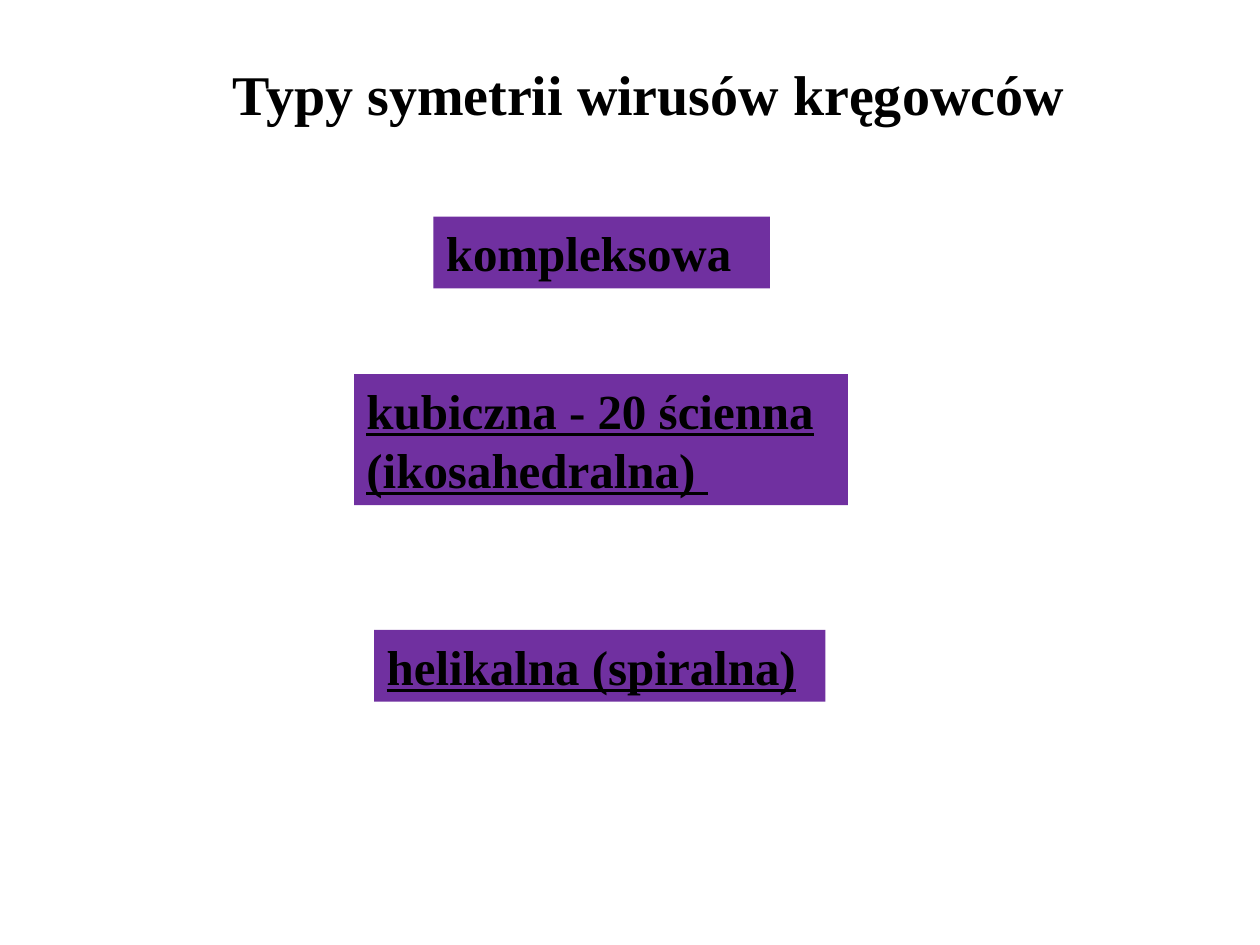
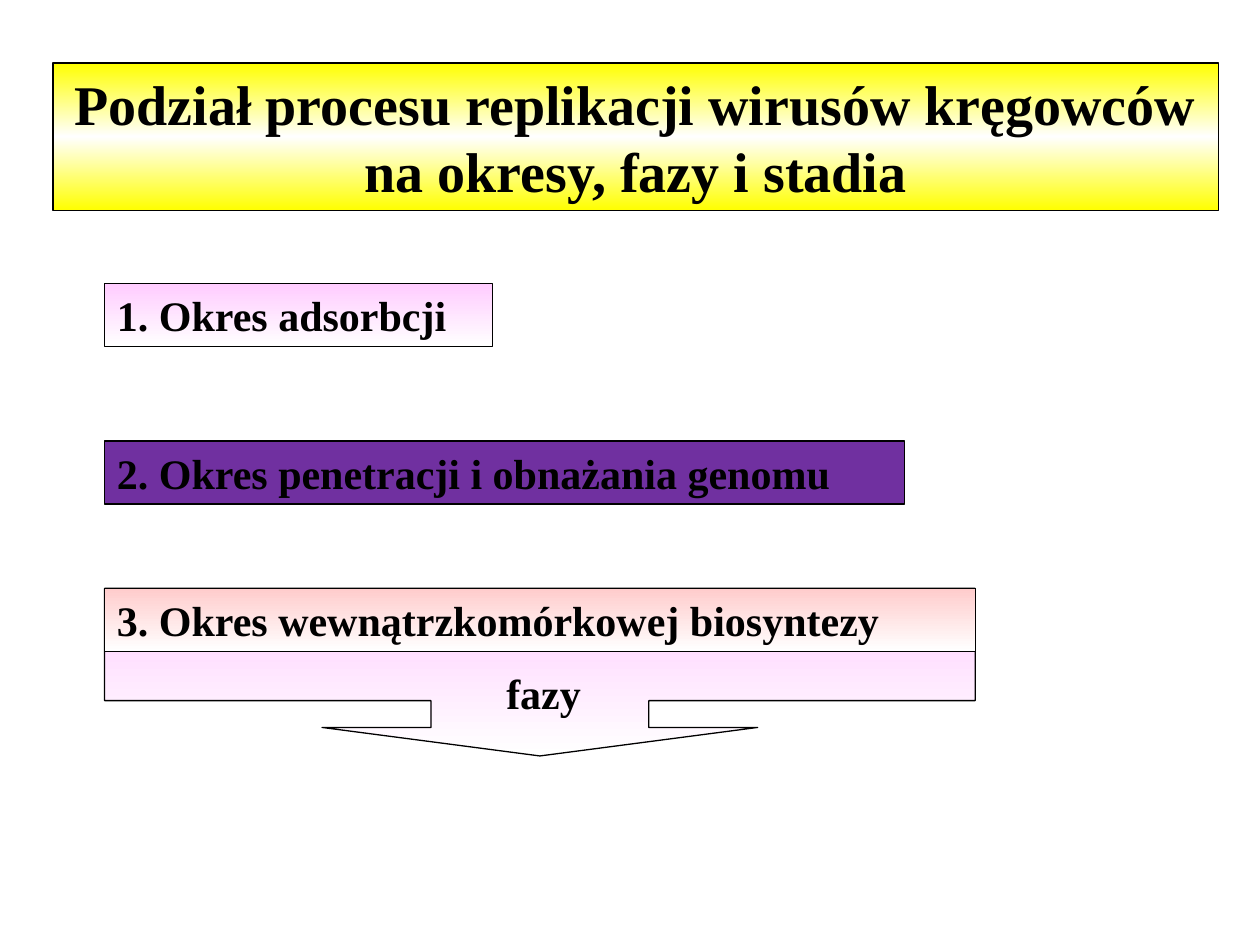
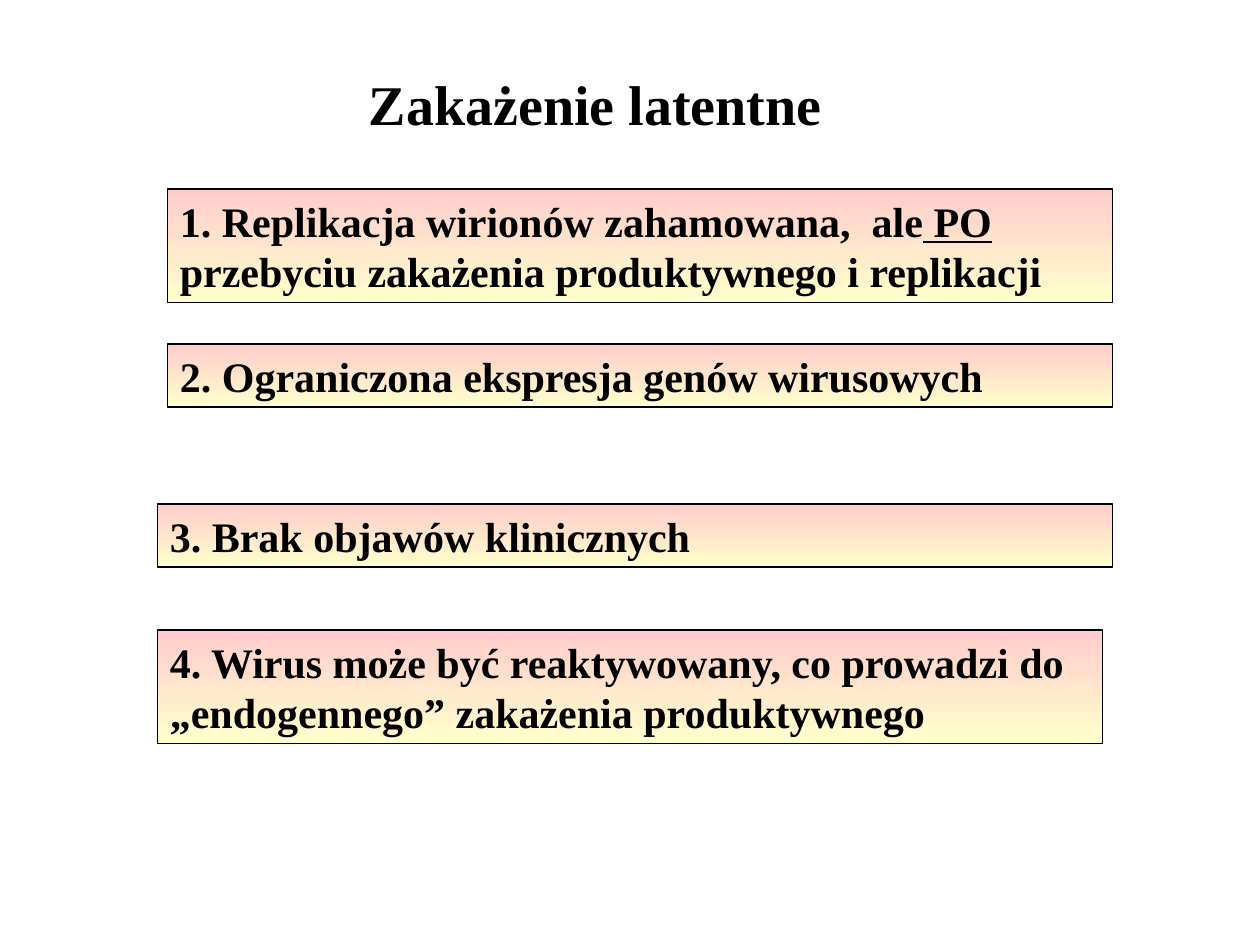
import copy

import pptx
import pptx.dml.color
import pptx.enum.shapes
import pptx.enum.text
import pptx.util

Inches = pptx.util.Inches
Pt = pptx.util.Pt
Kind = pptx.enum.shapes.MSO_SHAPE
Align = pptx.enum.text.PP_ALIGN
Rgb = pptx.dml.color.RGBColor.from_string


class Theme:
    font = "Times New Roman"
    ink = "000000"
    line = 0.75
    title = 32
    label = 28
    body = 24
    violet = ["7030A0"]
    gold = ["FFFF00", "FFFFFF", "FFFF00"]
    pink = ["FFCCFF", "FFFFFF"]
    rose = ["FFCCCC", "FFFFFF"]
    peach = ["FFCCCC", "FFFFCC"]


def paint(shape, tones, edge):
    shape.shadow.inherit = False
    fill = shape.fill
    if len(tones) == 1:
        fill.solid()
        fill.fore_color.rgb = Rgb(tones[0])
    else:
        fill.gradient()
        fill.gradient_angle = 270
        stops = shape._element.spPr.find(".//" + pptx.oxml.ns.qn("a:gsLst"))
        for _ in tones[2:]:
            stops.append(copy.deepcopy(stops[0]))
        for i, (stop, tone) in enumerate(zip(fill.gradient_stops, tones)):
            stop.position = i / (len(tones) - 1)
            stop.color.rgb = Rgb(tone)
    if edge:
        shape.line.color.rgb = Rgb(Theme.ink)
        shape.line.width = Pt(Theme.line)
    else:
        shape.line.fill.background()


def write(slide, spot, size, parts, tones=None, edge=True, align=Align.LEFT):
    place = [Inches(n) for n in spot]
    if tones:
        shape = slide.shapes.add_shape(Kind.RECTANGLE, *place)
        paint(shape, tones, edge)
    else:
        shape = slide.shapes.add_textbox(*place)
    frame = shape.text_frame
    form = {"word_wrap": True, "vertical_anchor": pptx.enum.text.MSO_ANCHOR.TOP}
    for key, value in form.items():
        setattr(frame, key, value)
    para = frame.paragraphs[0]
    para.alignment = align
    for text, under in parts:
        run = para.add_run()
        run.text = text
        look = {"name": Theme.font, "size": Pt(size), "bold": True, "underline": under}
        for key, value in look.items():
            setattr(run.font, key, value)
        run.font.color.rgb = Rgb(Theme.ink)


deck = pptx.Presentation()
deck.slide_width = Inches(10)
deck.slide_height = Inches(7.5)
types, steps, latent = [deck.slides.add_slide(deck.slide_layouts[6]) for _ in range(3)]

for spot, text, under in [
    ((3.44, 1.72, 2.67, 0.57), "kompleksowa", False),
    ((2.81, 2.97, 3.92, 1.04), "kubiczna - 20 ścienna (ikosahedralna) ", True),
    ((2.97, 5, 3.58, 0.57), "helikalna (spiralna)", True),
]:
    write(types, spot, Theme.label, [(text, under)], Theme.violet, edge=False)
write(types, (1.75, 0.42, 6.83, 1.17), Theme.title,
      [("Typy symetrii wirusów kręgowców", False)])

write(steps, (0.42, 0.5, 9.25, 1.17), Theme.title,
      [("Podział procesu replikacji wirusów kręgowców na okresy, fazy i stadia", False)],
      Theme.gold, align=Align.CENTER)
arrow = steps.shapes.add_shape(Kind.DOWN_ARROW_CALLOUT, Inches(0.83), Inches(4.67),
                               Inches(6.91), Inches(1.33))
for i, value in enumerate([1.3, 1.3, 0.17, 0.67]):
    arrow.adjustments[i] = value
paint(arrow, Theme.pink, True)
for top, width, text, tones in [
    (2.25, 3.08, "1. Okres adsorbcji", Theme.pink),
    (3.5, 6.35, "2. Okres penetracji i obnażania genomu", Theme.violet),
    (4.67, 6.91, "3. Okres wewnątrzkomórkowej biosyntezy", Theme.rose),
]:
    write(steps, (0.83, top, width, 0.5), Theme.body, [(text, False)], tones)
write(steps, (3.92, 5.25, 0.93, 0.5), Theme.body, [("fazy", False)])

write(latent, (2.83, 0.5, 3.92, 0.64), Theme.title, [("Zakażenie latentne", False)])
for spot, parts in [
    ((1.33, 1.5, 7.5, 0.9), [
        ("1. Replikacja wirionów zahamowana,  ale", False),
        (" PO ", True),
        ("przebyciu zakażenia produktywnego i replikacji", False),
    ]),
    ((1.33, 2.73, 7.5, 0.5), [("2. Ograniczona ekspresja genów wirusowych", False)]),
    ((1.25, 4, 7.58, 0.5), [("3. Brak objawów klinicznych", False)]),
    ((1.25, 5, 7.5, 0.9), [
        ("4. Wirus może być reaktywowany, co prowadzi do "
         "„endogennego” zakażenia produktywnego", False),
    ]),
]:
    write(latent, spot, Theme.body, parts, Theme.peach)

deck.save("out.pptx")
